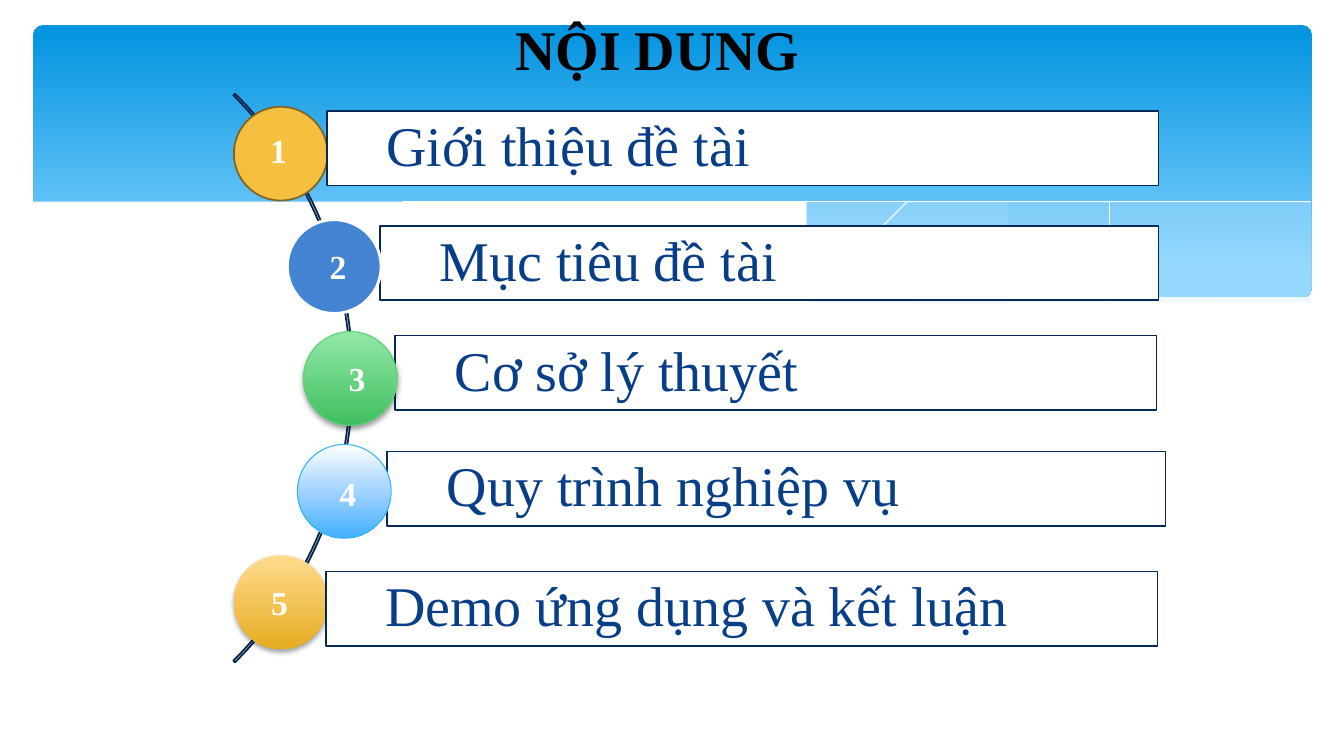
from lxml import etree
from pptx import Presentation
from pptx import util as u
from pptx.dml.color import RGBColor
from pptx.enum import shapes, text
from pptx.oxml.ns import qn

W, H = 13.33, 7.5
FONT = "Times New Roman"
TITLE = ("NỘI DUNG", (4.61, 0.09, 3.82, 0.77))
BALL, BAR_H, NUM_W, NUM_H = 0.93, 0.74, 0.37, 0.5
SHADOW = dict(blurRad=u.Pt(4), dist=u.Pt(2), dir=5400000, rotWithShape=0)

# label, bar (left, top, width), ball (left, top), number (left, top),
# ball fill stops, ball line (colour, points), shadow, ball behind bar
TOPICS = [
    ("Giới thiệu đề tài", (3.24, 1.1, 8.25), (2.32, 1.06), (2.58, 1.24),
     [(0, "F5C040")], ("806421", 1.25), False, True),
    ("Mục tiêu đề tài", (3.77, 2.24, 7.72), (2.85, 2.18), (3.17, 2.39),
     [(0, "4584D3")], ("FFFFFF", 2), False, False),
    ("Cơ sở lý thuyết", (3.92, 3.33, 7.55), (3.01, 3.29), (3.36, 3.5),
     [(0, "92E8A6"), (100, "41BF60")], ("5BD078", 0.75), True, False),
    ("Quy trình nghiệp vụ", (3.84, 4.48, 7.72), (2.95, 4.41), (3.27, 4.64),
     [(0, "FFFFFF"), (44, "ACD7FF"), (100, "42B0FD")], ("31B6FD", 0.75), False, False),
    ("Demo ứng dụng và kết luận", (3.23, 5.67, 8.25), (2.32, 5.51), (2.59, 5.72),
     [(0, "FFDB8E"), (100, "E6AD22")], None, True, True),
]

# Each wave: smooth edges joined by straight lines, fill stops, opacity %
WAVES = [
    ([[(13.01, 2), (12.46, 2.07), (11.88, 2.16), (11.1, 2.3), (10.38, 2.42),
       (9.72, 2.53), (8.82, 2.65)],
      [(8.82, 2.65), (9.4, 2.71), (10.09, 2.76), (10.71, 2.78), (11.38, 2.76),
       (11.96, 2.7), (12.47, 2.62), (13.01, 2.47)]], [(0, "C6E7FC")], 29),
    ([[(11.9, 2.73), (11.16, 2.65), (10.34, 2.54), (9.41, 2.4), (8.39, 2.22),
       (7.59, 2.08), (6.86, 1.98), (6.19, 1.91), (5.6, 1.87), (5.06, 1.85),
       (4.37, 1.87), (3.82, 1.91)],
      [(3.82, 1.91), (4.56, 1.99), (5.39, 2.11), (5.99, 2.22), (7.06, 2.4),
       (8.02, 2.55), (8.87, 2.66), (9.63, 2.74), (10.3, 2.77), (10.9, 2.78),
       (11.43, 2.77), (11.9, 2.73)]], [(0, "C6E7FC")], 40),
    ([[(4.12, 1.95), (4.58, 1.9), (5.16, 1.87), (5.77, 1.87), (6.52, 1.9),
       (7.42, 1.97), (8.48, 2.08), (9.7, 2.26), (10.6, 2.41), (11.58, 2.61),
       (12.1, 2.72)]], None, 100),
    ([[(8.18, 2.57), (8.7, 2.46), (9.27, 2.35), (9.97, 2.23), (10.75, 2.1),
       (11.55, 1.99), (12.32, 1.9), (13, 1.85)]], None, 100),
    ([[(13.03, 2.46), (12.54, 2.59), (11.98, 2.69), (11.34, 2.75), (10.78, 2.77),
       (10.15, 2.75), (9.44, 2.7), (8.63, 2.62), (7.72, 2.5), (6.71, 2.33),
       (5.96, 2.2), (5.21, 2.07), (4.53, 1.97), (3.9, 1.9), (3.33, 1.86),
       (2.82, 1.84), (2.35, 1.84), (1.76, 1.86), (1.27, 1.91), (0.79, 1.99),
       (0.31, 2.13)],
      [(0.31, 3.29), (13.03, 3.29)]], [(0, "FFFFFF")], 100),
]


def rgb(value):
    return RGBColor.from_string(value)


def paint(sp, stops=None, line=None, alpha=100, shadow=False):
    """Fill with no colour, one colour or a downward gradient; then line and shadow."""
    sp.shadow.inherit = False
    props = sp._element.spPr
    if not stops:
        sp.fill.background()
    elif len(stops) == 1:
        sp.fill.solid()
        sp.fill.fore_color.rgb = rgb(stops[0][1])
        if alpha < 100:
            color = props.find(qn("a:solidFill"))[0]
            etree.SubElement(color, qn("a:alpha"), val=str(alpha * 1000))
    else:
        sp.fill.gradient()
        sp.fill.gradient_angle = 270
        stop_list = props.find(".//" + qn("a:gsLst"))
        stop_list[:] = []
        for pos, color in stops:
            gs = etree.SubElement(stop_list, qn("a:gs"), pos=str(pos * 1000))
            etree.SubElement(gs, qn("a:srgbClr"), val=color)
    if line:
        sp.line.color.rgb = rgb(line[0])
        sp.line.width = u.Pt(line[1])
    else:
        sp.line.fill.background()
    if shadow:
        outer = etree.SubElement(props.find(qn("a:effectLst")), qn("a:outerShdw"),
                                 {k: str(v) for k, v in SHADOW.items()})
        black = etree.SubElement(outer, qn("a:srgbClr"), val="000000")
        etree.SubElement(black, qn("a:alpha"), val="38000")


def add(s, kind, box, **look):
    sp = s.shapes.add_shape(kind, *map(u.Inches, box))
    paint(sp, **look)
    return sp


def smooth(pts, steps=5):
    """Catmull-Rom curve through the points."""
    if len(pts) < 3:
        return pts
    ext = [pts[0], *pts, pts[-1]]
    curve = [pts[0]]
    for a, b, c, d in zip(ext, ext[1:], ext[2:], ext[3:]):
        for t in (k / steps for k in range(1, steps + 1)):
            curve.append(tuple(
                (2 * q + (r - p) * t + (2 * p - 5 * q + 4 * r - v) * t ** 2
                 + (3 * q - p - 3 * r + v) * t ** 3) / 2
                for p, q, r, v in zip(a, b, c, d)))
    return curve


def add_wave(s, edges, stops, alpha):
    pts = [pt for edge in edges for pt in smooth(edge)]
    builder = s.shapes.build_freeform(*pts[0], scale=u.Inches(1))
    builder.add_line_segments(pts[1:], close=bool(stops))
    paint(builder.convert_to_shape(), stops, None if stops else ("FFFFFF", 0), alpha)


def write(sp, words, size, color, bold=False, align=text.PP_ALIGN.LEFT, **frame):
    tf = sp.text_frame
    for name, value in frame.items():
        setattr(tf, name, value)
    p = tf.paragraphs[0]
    p.alignment = align
    r = p.add_run()
    r.text = words
    for name, value in dict(name=FONT, size=u.Pt(size), bold=bold).items():
        setattr(r.font, name, value)
    r.font.color.rgb = rgb(color)
    return p


def add_topic(s, number, topic):
    label, bar, ball, num, stops, line, shadow, ball_behind = topic

    def draw_ball():
        add(s, shapes.MSO_SHAPE.OVAL, (*ball, BALL, BALL),
            stops=stops, line=line, shadow=shadow)

    def draw_bar():
        sp = add(s, shapes.MSO_SHAPE.RECTANGLE, (*bar, BAR_H),
                 stops=[(0, "FFFFFF")], line=("042857", 1.25))
        edge = u.Inches(0.11)
        p = write(sp, label, 40, "073E87", word_wrap=True,
                  vertical_anchor=text.MSO_ANCHOR.MIDDLE, margin_left=u.Inches(0.59),
                  margin_top=edge, margin_right=edge, margin_bottom=edge)
        p.line_spacing = 0.9

    for draw in (draw_ball, draw_bar) if ball_behind else (draw_bar, draw_ball):
        draw()
    box = s.shapes.add_textbox(*map(u.Inches, (*num, NUM_W, NUM_H)))
    write(box, str(number), 24, "FFFFFF", bold=True, word_wrap=False)


def main():
    prs = Presentation()
    prs.slide_width, prs.slide_height = u.Inches(W), u.Inches(H)
    s = prs.slides.add_slide(prs.slide_layouts[6])

    sky = add(s, shapes.MSO_SHAPE.ROUNDED_RECTANGLE, (0.33, 0.25, 12.68, 2.7),
              stops=[(0, "0293E0"), (90, "83D3FE")])
    sky.adjustments[0] = 0.034
    for wave in WAVES:
        add_wave(s, *wave)

    arc = add(s, shapes.MSO_SHAPE.BLOCK_ARC, (-4.48, -0.24, 7.98, 7.98),
              line=("04234C", 1.25))
    for i, value in enumerate((189, 27, 0.003)):
        arc.adjustments[i] = value

    for number, topic in enumerate(TOPICS, 1):
        add_topic(s, number, topic)

    words, box = TITLE
    write(s.shapes.add_textbox(*map(u.Inches, box)), words, 40, "000000", bold=True,
          align=text.PP_ALIGN.CENTER, word_wrap=True)
    prs.save("out.pptx")


if __name__ == "__main__":
    main()
